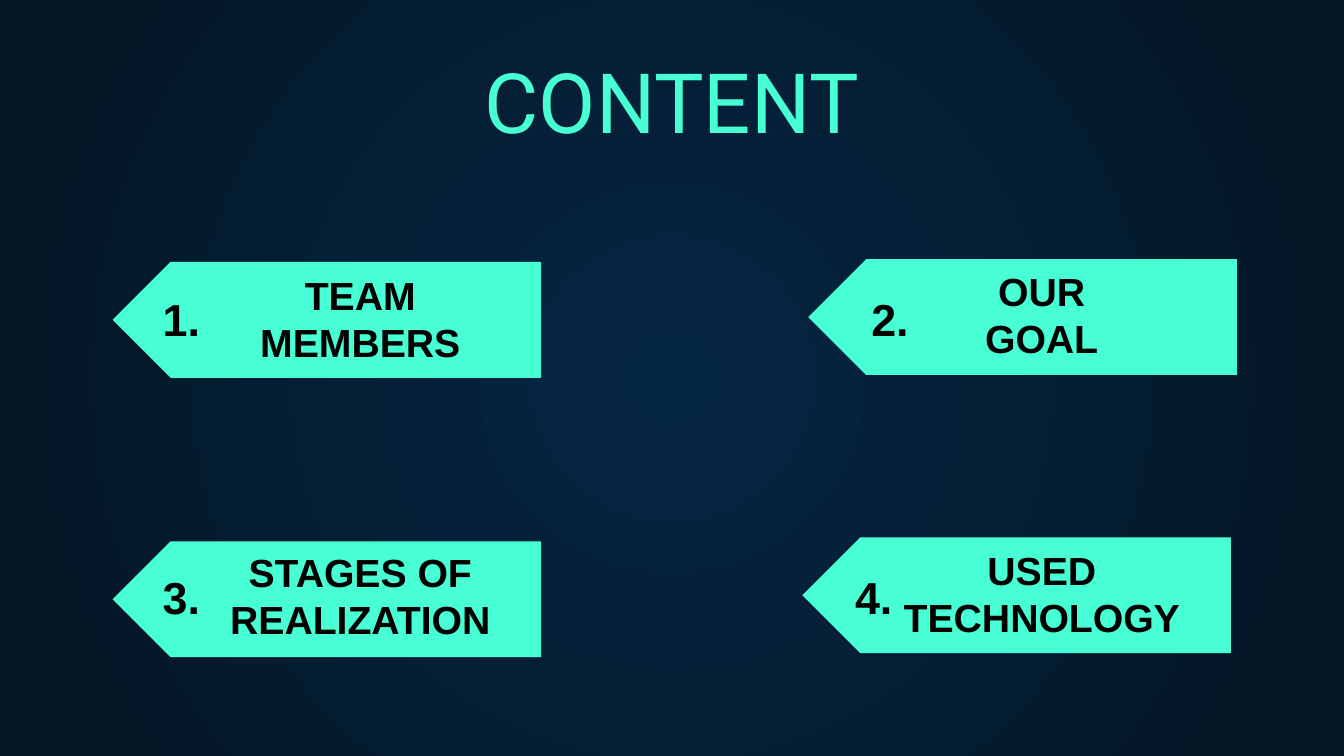
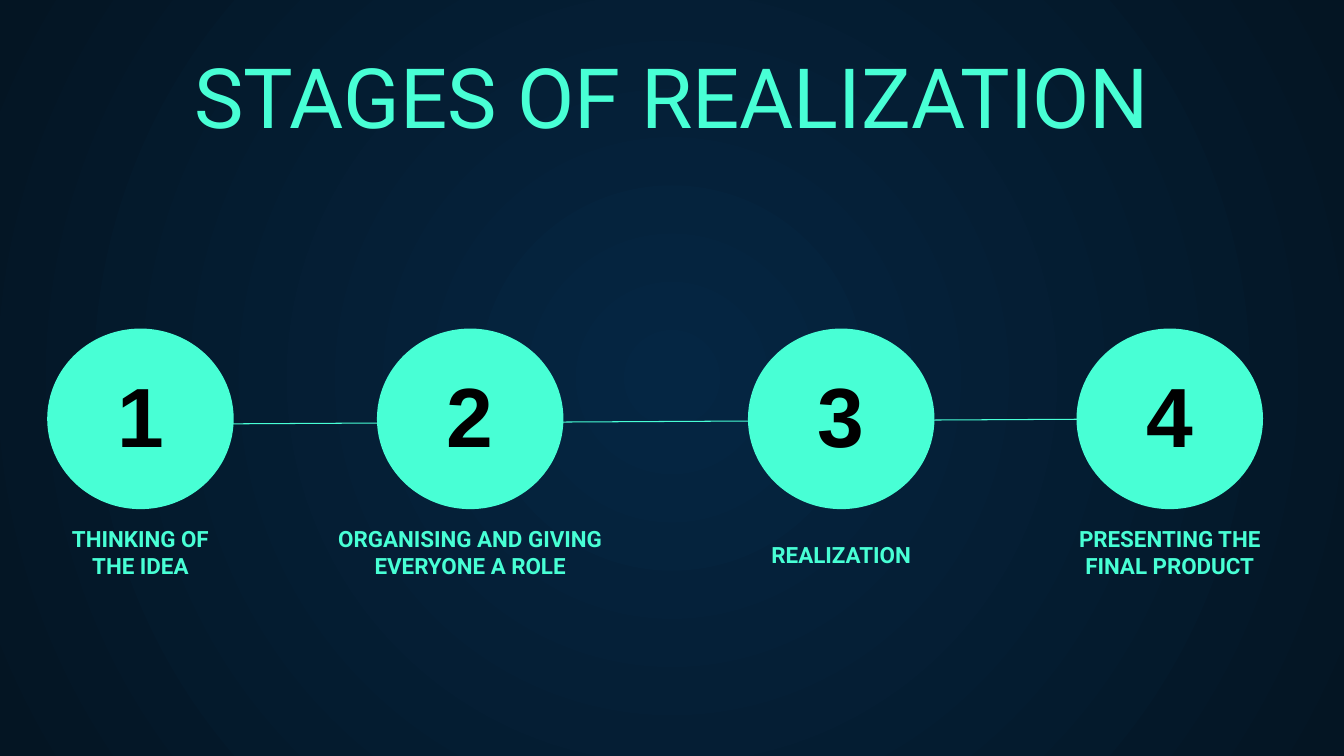
import lxml.etree
import pptx
import pptx.dml.color
import pptx.enum.shapes
import pptx.enum.text
import pptx.oxml.ns
import pptx.util

Cm = pptx.util.Cm
Pt = pptx.util.Pt
RGBColor = pptx.dml.color.RGBColor
MSO_SHAPE = pptx.enum.shapes.MSO_SHAPE
MSO_ANCHOR = pptx.enum.text.MSO_ANCHOR
qn = pptx.oxml.ns.qn

MINT = RGBColor(0x48, 0xFF, 0xD5)
BLACK = RGBColor(0, 0, 0)
NAVY = RGBColor(0x05, 0x26, 0x43)
NIGHT = RGBColor(0x04, 0x15, 0x23)
SLIDE_W = 33.87


def add_text(s, text, *, x, y, w, h, size, font="Arial", color=BLACK, bold=True,
             anchor=MSO_ANCHOR.BOTTOM):
    tf = s.shapes.add_textbox(Cm(x), Cm(y), Cm(w), Cm(h)).text_frame
    tf.word_wrap = True
    tf.vertical_anchor = anchor
    tf.margin_left = tf.margin_right = tf.margin_top = tf.margin_bottom = Cm(0.25)
    tf.text = text
    for p in tf.paragraphs:
        p.alignment = pptx.enum.text.PP_ALIGN.CENTER
        for r in p.runs:
            r.font.size = Pt(size)
            r.font.name = font
            r.font.bold = bold
            r.font.color.rgb = color


def add_mint_shape(s, kind, x, y, w, h):
    sp = s.shapes.add_shape(kind, Cm(x), Cm(y), Cm(w), Cm(h))
    sp.shadow.inherit = False
    sp.fill.solid()
    sp.fill.fore_color.rgb = MINT
    sp.line.fill.background()
    return sp


prs = pptx.Presentation()
prs.slide_width = Cm(SLIDE_W)
prs.slide_height = Cm(19.05)

fill = prs.slide_master.background.fill
fill.gradient()
for stop, color in zip(fill.gradient_stops, (NAVY, NIGHT)):
    stop.color.rgb = color
grad = prs.slide_master._element.find(".//" + qn("a:gradFill"))
grad.remove(grad.find(qn("a:lin")))
circle = lxml.etree.SubElement(grad, qn("a:path"), path="circle")
lxml.etree.SubElement(circle, qn("a:fillToRect"), l="50000", t="50000", r="50000", b="50000")

slides = []
for title, y, w in (("CONTENT", 1.02, 10.16), ("STAGES OF REALIZATION", 0.89, 25.93)):
    s = prs.slides.add_slide(prs.slide_layouts[6])
    add_text(s, title, x=(SLIDE_W - w) / 2, y=y, w=w, h=2.13, size=59.4, font="Roboto",
             color=MINT, bold=False, anchor=MSO_ANCHOR.TOP)
    slides.append(s)
content, stages = slides

topics = [
    ("TEAM MEMBERS", 2.84, 6.6, 6.3, 6.88, 5.56, 3.81, 7.39),
    ("OUR\vGOAL", 20.37, 6.53, 23.47, 6.78, 5.56, 21.67, 7.39),
    ("STAGES OF\nREALIZATION", 2.84, 13.64, 5.41, 13.87, 7.34, 3.81, 14.38),
    ("USED TECHNOLOGY", 20.22, 13.54, 22.43, 13.82, 7.65, 21.26, 14.38),
]
for i, (topic, x, y, text_x, text_y, text_w, num_x, num_y) in enumerate(topics, 1):
    sp = add_mint_shape(content, MSO_SHAPE.PENTAGON, x, y, 10.8, 2.92)
    sp._element.spPr.find(qn("a:xfrm")).set("flipH", "1")
    add_text(content, topic, x=text_x, y=text_y, w=text_w, h=2.57, size=28)
    add_text(content, f"{i}.", x=num_x, y=num_y, w=1.52, h=1.57, size=32)

line = stages.shapes.add_connector(pptx.enum.shapes.MSO_CONNECTOR.STRAIGHT,
                                   Cm(3.96), Cm(10.69), Cm(31.83), Cm(10.54))
line.line.color.rgb = MINT
line.line.width = Pt(0.75)
lxml.etree.SubElement(line._element.spPr, qn("a:effectLst"))

steps = [
    ("THINKING OF\nTHE IDEA", 3.54, 12.98, 5.13, 1.63),
    ("ORGANISING AND GIVING\nEVERYONE A ROLE", 11.85, 12.98, 7.29, 1.63),
    ("REALIZATION", 21.2, 13.39, 5.13, 1.02),
    ("PRESENTING THE FINAL PRODUCT", 29.48, 12.98, 5.33, 1.63),
]
for i, (step, center, y, w, h) in enumerate(steps, 1):
    add_mint_shape(stages, MSO_SHAPE.OVAL, center - 2.35, 8.28, 4.7, 4.55)
    add_text(stages, str(i), x=center - 1.25, y=9.42, w=2.5, h=2.54, size=60)
    add_text(stages, step, x=center - w / 2, y=y, w=w, h=h, size=16, font="Roboto",
             color=MINT, anchor=MSO_ANCHOR.TOP)

prs.save("out.pptx")
